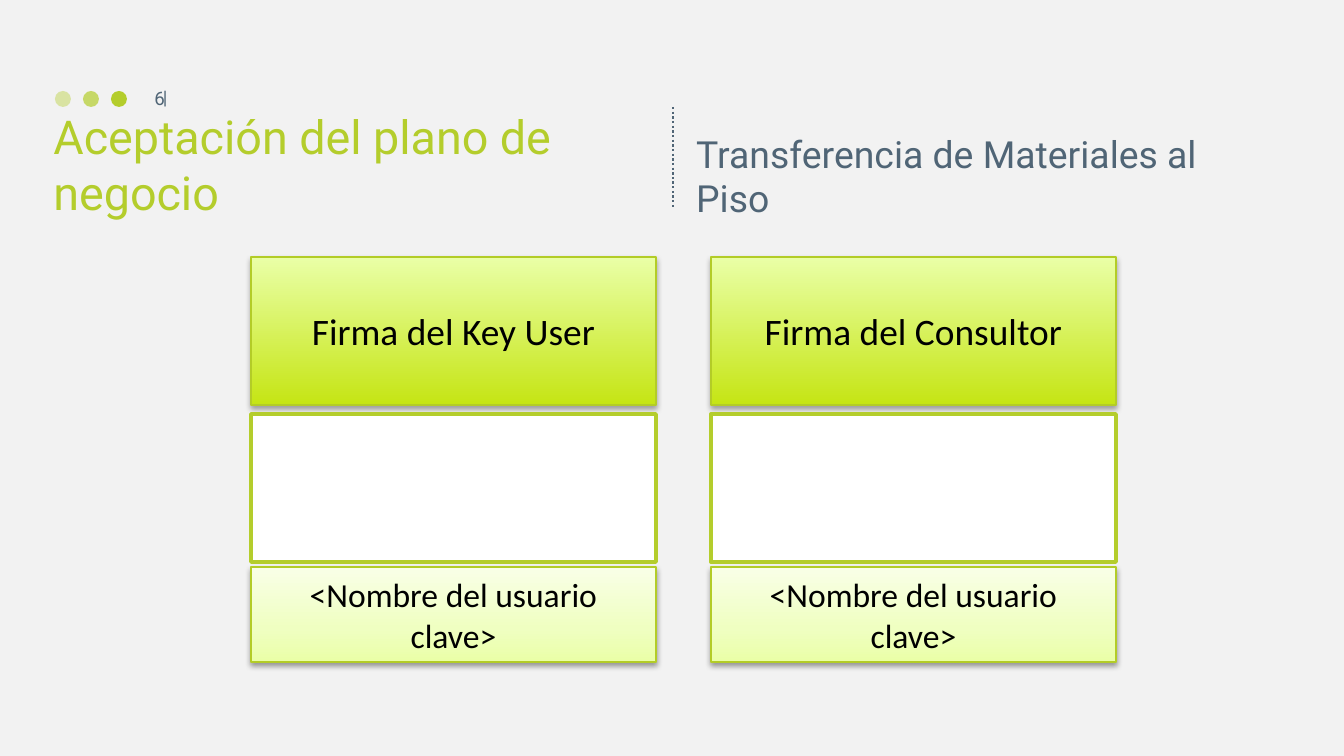
"""Build the sign-off slide with two signature columns."""
import copy
from dataclasses import dataclass

import lxml.etree
import pptx
import pptx.dml.color
import pptx.enum.dml
import pptx.enum.shapes
import pptx.enum.text
import pptx.oxml.ns
import pptx.util

EMU_PER_PX = 914400 / 134.4
RGB = pptx.dml.color.RGBColor.from_string
ALIGN = pptx.enum.text.PP_ALIGN
ANCHOR = pptx.enum.text.MSO_ANCHOR
SHAPE = pptx.enum.shapes.MSO_SHAPE
qn = pptx.oxml.ns.qn


@dataclass(frozen=True)
class Theme:
    background: str = "F2F2F2"
    green: str = "B4CD2C"
    border: str = "B3CC27"
    slate: str = "506576"
    black: str = "000000"
    white: str = "FFFFFF"
    strong: tuple = ((0, "C5E514"), (1, "EAFFA7"))
    soft: tuple = ((0, "EAFFA7"), (0.35, "EFFFC1"), (1, "F9FFE7"))
    heading_font: str = "Roboto"
    body_font: str = "Calibri"
    title_size: int = 25
    large_size: int = 20
    name_size: int = 18
    number_size: int = 10


theme = Theme()


def px(*lengths):
    return [pptx.util.Emu(round(length * EMU_PER_PX)) for length in lengths]


def write(shape, text, font, size, color, align, anchor):
    frame = shape.text_frame
    frame.text = text
    frame.word_wrap = True
    frame.auto_size = pptx.enum.text.MSO_AUTO_SIZE.NONE
    frame.vertical_anchor = anchor
    paragraph = frame.paragraphs[0]
    paragraph.alignment = align
    run = paragraph.runs[0]
    run.font.name = font
    run.font.size = pptx.util.Pt(size)
    run.font.color.rgb = RGB(color)


presentation = pptx.Presentation()
presentation.slide_width, presentation.slide_height = px(1344, 756)
slide = presentation.slides.add_slide(presentation.slide_layouts[5])
slide.background.fill.solid()
slide.background.fill.fore_color.rgb = RGB(theme.background)

for index, opacity in enumerate((40, 70, 100)):
    dot = slide.shapes.add_shape(SHAPE.OVAL, *px(55 + 28 * index, 91, 16, 16))
    dot.shadow.inherit = False
    dot.line.fill.background()
    dot.fill.solid()
    dot.fill.fore_color.rgb = RGB(theme.green)
    if opacity < 100:
        color = dot._element.spPr.find(qn("a:solidFill"))[0]
        lxml.etree.SubElement(color, qn("a:alpha"), val=str(opacity * 1000))

divider = slide.shapes.add_connector(
    pptx.enum.shapes.MSO_CONNECTOR.STRAIGHT, *px(673, 107, 673, 208))
divider.line.color.rgb = RGB(theme.slate)
divider.line.width = pptx.util.Pt(1.25)
divider.line.dash_style = pptx.enum.dml.MSO_LINE.ROUND_DOT
lxml.etree.SubElement(divider._element.spPr, qn("a:effectLst"))

number_bar = slide.shapes.add_textbox(*px(161, 89, 8, 20))
write(number_bar, "|", theme.heading_font, theme.number_size, theme.slate,
      ALIGN.CENTER, ANCHOR.TOP)
number_bar.text_frame.word_wrap = False
number_bar.text_frame.margin_left = number_bar.text_frame.margin_right = 0
number_bar.text_frame.margin_bottom = 0
number_bar.text_frame.paragraphs[0].line_spacing = 0.5

title = slide.shapes.title
title.left, title.top, title.width, title.height = px(40, 101, 617, 126)
write(title, "Aceptación del plano de negocio", theme.heading_font,
      theme.title_size, theme.green, ALIGN.LEFT, ANCHOR.BOTTOM)

subtitle = slide.shapes.add_textbox(*px(683, 101, 594, 126))
write(subtitle, "Transferencia de Materiales al Piso", theme.heading_font,
      theme.large_size, theme.slate, ALIGN.LEFT, ANCHOR.BOTTOM)

signer_name = "<Nombre del usuario clave>"
rows = (
    (257, 148, theme.strong, theme.large_size, 35, 1.8,
     ("Firma del Key User", "Firma del Consultor")),
    (414, 148, None, None, None, None, (None, None)),
    (567, 95, theme.soft, theme.name_size, 38, 1.6, (signer_name, signer_name)),
)
for top, height, gradient, size, opacity, distance, labels in rows:
    for column, label in enumerate(labels):
        box = slide.shapes.add_shape(
            SHAPE.RECTANGLE, *px(251 + 460 * column, top, 405, height))
        box.shadow.inherit = False
        if gradient is None:
            box.fill.solid()
            box.fill.fore_color.rgb = RGB(theme.white)
            box.line.color.rgb = RGB(theme.green)
            box.line.width = pptx.util.Pt(2)
            continue
        box.line.color.rgb = RGB(theme.border)
        box.line.width = pptx.util.Pt(0.75)
        box.fill.gradient()
        box.fill.gradient_angle = 90
        properties = box._element.spPr
        stop_list = properties.find(".//" + qn("a:gsLst"))
        while len(stop_list) < len(gradient):
            stop_list.append(copy.deepcopy(stop_list[0]))
        for stop, (position, color) in zip(box.fill.gradient_stops, gradient):
            stop.position = position
            stop.color.rgb = RGB(color)
        shadow = lxml.etree.SubElement(
            properties.find(qn("a:effectLst")), qn("a:outerShdw"),
            blurRad=str(pptx.util.Pt(3.1)), dist=str(pptx.util.Pt(distance)),
            dir="5400000", rotWithShape="0")
        shade = lxml.etree.SubElement(shadow, qn("a:srgbClr"), val=theme.black)
        lxml.etree.SubElement(shade, qn("a:alpha"), val=str(opacity * 1000))
        write(box, label, theme.body_font, size, theme.black,
              ALIGN.CENTER, ANCHOR.MIDDLE)

slide_number = slide.shapes.add_textbox(*px(116, 78, 62, 40))
write(slide_number, "6", theme.heading_font, theme.number_size, theme.slate,
      ALIGN.RIGHT, ANCHOR.MIDDLE)

presentation.save("out.pptx")
